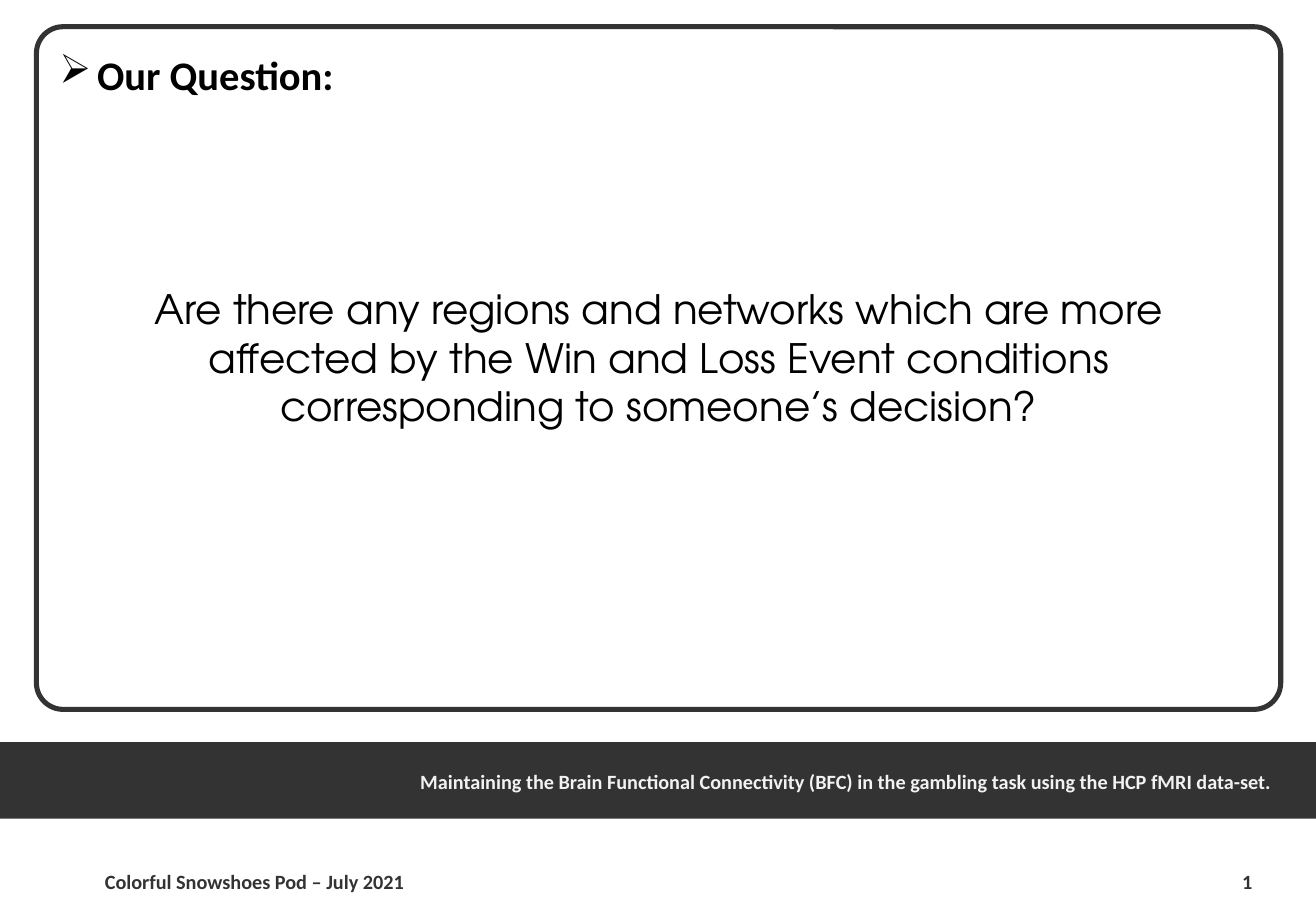
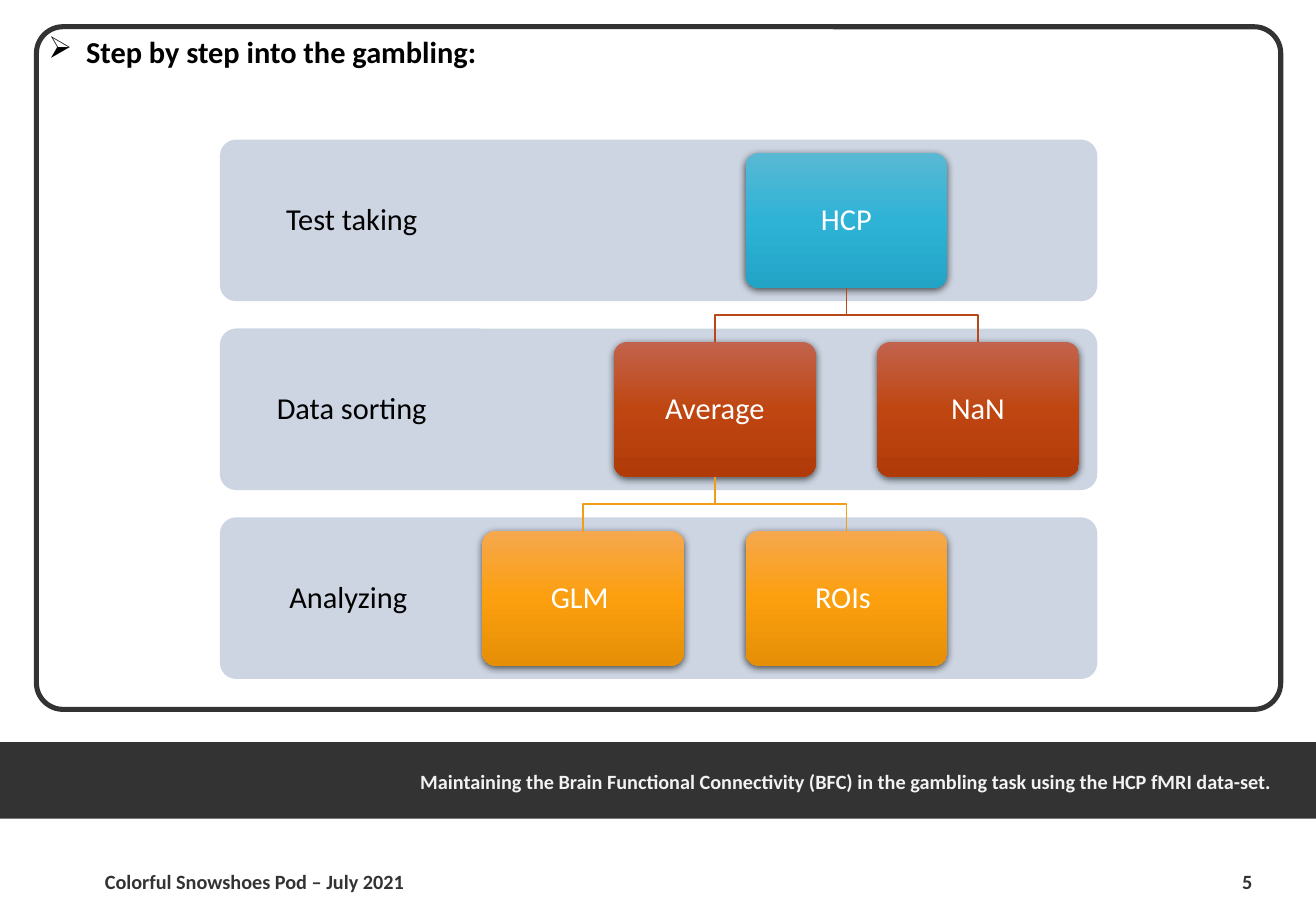
from dataclasses import dataclass

from lxml.etree import SubElement
from pptx import Presentation
from pptx.dml.color import RGBColor
from pptx.enum.shapes import MSO_SHAPE as Shape
from pptx.enum.text import MSO_ANCHOR as Anchor, MSO_AUTO_SIZE as AutoSize, PP_ALIGN as Align
from pptx.oxml.ns import qn
from pptx.util import Inches, Pt


@dataclass(frozen=True)
class Theme:
    font: str = "Calibri"
    question_font: str = "TeX Gyre Adventor"
    dark: str = "333333"
    light: str = "F2F2F2"
    black: str = "000000"
    white: str = "FFFFFF"
    lane: str = "CDD5E2"
    large: int = 24
    body: int = 18
    small: int = 12


THEME = Theme()
WIDTH, HEIGHT = 10.83, 7.5

TAGLINE = "Maintaining the Brain Functional Connectivity (BFC) in the gambling task using the HCP fMRI data-set."
FOOTER = "Colorful Snowshoes Pod – July 2021 "
QUESTION = ("Are there any regions and networks which are more affected by the Win and Loss "
            "Event conditions corresponding to someone’s decision?")

# Each lane: label, gradient of its nodes, colour of the lines that lead to them
LANES = [
    ("Test taking", ("59B8D4", "2EB3D6", "21A4C6"), None),
    ("Data sorting", ("C2634D", "BF4611", "B13B08"), "B74919"),
    ("Analyzing ", ("F5A84E", "FC9F0E", "E58F07"), "F19D19"),
]
# Each node: label, lane, column, parent
NODES = [
    ("HCP", 0, 2, None),
    ("Average", 1, 1, "HCP"),
    ("NaN", 1, 3, "HCP"),
    ("GLM ", 2, 0, "Average"),
    ("ROIs ", 2, 2, "Average"),
]
LANE_LEFT, LANE_TOP, LANE_WIDTH, LANE_HEIGHT, LANE_PITCH = 1.81, 1.15, 7.22, 1.33, 1.555
LABEL_WIDTH = 2.17
NODE_LEFT, NODE_WIDTH, NODE_HEIGHT, COLUMN_PITCH = 3.97, 1.66, 1.11, 1.083
NODE_INSET = (LANE_HEIGHT - NODE_HEIGHT) / 2


def rgb(value):
    return RGBColor.from_string(value)


def write(shape, text, size, color, bold=False, align=Align.LEFT, font=THEME.font,
          wrap=True, grow=False, inset=None):
    """Set the text of a shape; a given inset also centres it vertically."""
    frame = shape.text_frame
    frame.text = text
    frame.word_wrap = wrap
    frame.auto_size = AutoSize.SHAPE_TO_FIT_TEXT if grow else AutoSize.NONE
    if inset is not None:
        frame.margin_left = frame.margin_right = Inches(inset)
        frame.margin_top = frame.margin_bottom = Inches(inset)
        frame.vertical_anchor = Anchor.MIDDLE
    para = frame.paragraphs[0]
    para.alignment = align
    span = para.runs[0].font
    span.name, span.size, span.bold, span.color.rgb = font, Pt(size), bold, rgb(color)
    return para


def add_text(page, place, text, size, color, **style):
    box = page.shapes.add_textbox(*map(Inches, place))
    return write(box, text, size, color, **style)


def add_box(page, place, kind=Shape.RECTANGLE, fill=None, radius=None):
    box = page.shapes.add_shape(kind, *map(Inches, place))
    box.shadow.inherit = False
    box.line.fill.background()
    if fill:
        box.fill.solid()
        box.fill.fore_color.rgb = rgb(fill)
    else:
        box.fill.background()
    if radius is not None:
        box.adjustments[0] = radius
    return box


def add_page(deck, number):
    page = deck.slides.add_slide(deck.slide_layouts[6])
    frame = add_box(page, (0.3, 0.22, 10.24, 5.62), Shape.ROUNDED_RECTANGLE, radius=0.039)
    frame.line.color.rgb = rgb(THEME.dark)
    frame.line.width = Pt(3)
    add_box(page, (0, 6.11, WIDTH, 0.63), fill=THEME.dark)
    para = add_text(page, (3.36, 6.27, 7.31, 0.31), TAGLINE, THEME.small, THEME.light,
                    bold=True, wrap=False, grow=True)
    para.line_spacing = 1.07
    for left, width, text in ((0.65, 2.93, FOOTER), (9.92, 0.69, str(number))):
        add_text(page, (left, 7.11, width, 0.3), text, THEME.small, THEME.dark,
                 bold=True, align=Align.CENTER, grow=True)
    return page


def add_title(page, place, text, size):
    para = add_text(page, place, text, size, THEME.black, bold=True, grow=True)
    properties = para._p.get_or_add_pPr()
    properties.set("marL", str(Inches(0.31)))
    properties.set("indent", str(-Inches(0.31)))
    SubElement(properties, qn("a:buChar"), char="➢")


def shade(shape, colors):
    """Give a shape a downward gradient and a soft shadow below."""
    shape.fill.gradient()
    shape.fill.gradient_angle = 270
    properties = shape._element.spPr
    stops = properties.find(qn("a:gradFill")).find(qn("a:gsLst"))
    for stop in list(stops):
        stops.remove(stop)
    for index, color in enumerate(colors):
        stop = SubElement(stops, qn("a:gs"), pos=str(index * 100000 // (len(colors) - 1)))
        SubElement(stop, qn("a:srgbClr"), val=color)
    shadow = SubElement(properties.find(qn("a:effectLst")), qn("a:outerShdw"),
                        blurRad=str(Pt(4.5)), dist=str(Pt(1.5)), dir="5400000", rotWithShape="0")
    tint = SubElement(shadow, qn("a:srgbClr"), val=THEME.black)
    SubElement(tint, qn("a:alpha"), val="63000")


def add_branch(page, parent, child, color):
    """Draw a stepped line from the bottom of one node to the top of another."""
    start_x, end_x = (node.left + node.width // 2 for node in (parent, child))
    start_y, end_y = parent.top + parent.height, child.top
    middle = (start_y + end_y) // 2
    builder = page.shapes.build_freeform(start_x, start_y)
    builder.add_line_segments([(start_x, middle), (end_x, middle), (end_x, end_y)], close=False)
    branch = builder.convert_to_shape()
    branch.shadow.inherit = False
    branch.fill.background()
    branch.line.color.rgb = rgb(color)
    branch.line.width = Pt(1)


def add_lanes(page):
    for index, (label, _, _) in enumerate(LANES):
        top = LANE_TOP + index * LANE_PITCH
        add_box(page, (LANE_LEFT, top, LANE_WIDTH, LANE_HEIGHT), Shape.ROUNDED_RECTANGLE,
                THEME.lane, 0.1)
        para = add_text(page, (LANE_LEFT, top, LABEL_WIDTH, LANE_HEIGHT), label, THEME.body,
                        THEME.black, align=Align.CENTER, inset=0.14)
        para.line_spacing = 0.9


def add_tree(page):
    drawn = {}
    for label, lane, column, parent in NODES:
        _, gradient, line_color = LANES[lane]
        place = (NODE_LEFT + column * COLUMN_PITCH, LANE_TOP + lane * LANE_PITCH + NODE_INSET,
                 NODE_WIDTH, NODE_HEIGHT)
        node = add_box(page, place, Shape.ROUNDED_RECTANGLE, radius=0.1)
        shade(node, gradient)
        para = write(node, label, THEME.body, THEME.white, align=Align.CENTER, inset=0.1)
        para.line_spacing = 0.9
        drawn[label] = node
        if parent:
            add_branch(page, drawn[parent], node, line_color)


def main():
    deck = Presentation()
    deck.slide_width, deck.slide_height = Inches(WIDTH), Inches(HEIGHT)

    question = add_page(deck, 1)
    add_title(question, (0.39, 0.36, 2.71, 0.5), "Our Question:", THEME.large)
    add_text(question, (0.65, 2.29, 9.54, 2.29), QUESTION, THEME.large, THEME.black,
             align=Align.CENTER, font=THEME.question_font)

    steps = add_page(deck, 5)
    add_title(steps, (0.3, 0.22, 4.16, 0.4), "Step by step into the gambling:", THEME.body)
    add_lanes(steps)
    add_tree(steps)

    deck.save("out.pptx")


if __name__ == "__main__":
    main()
